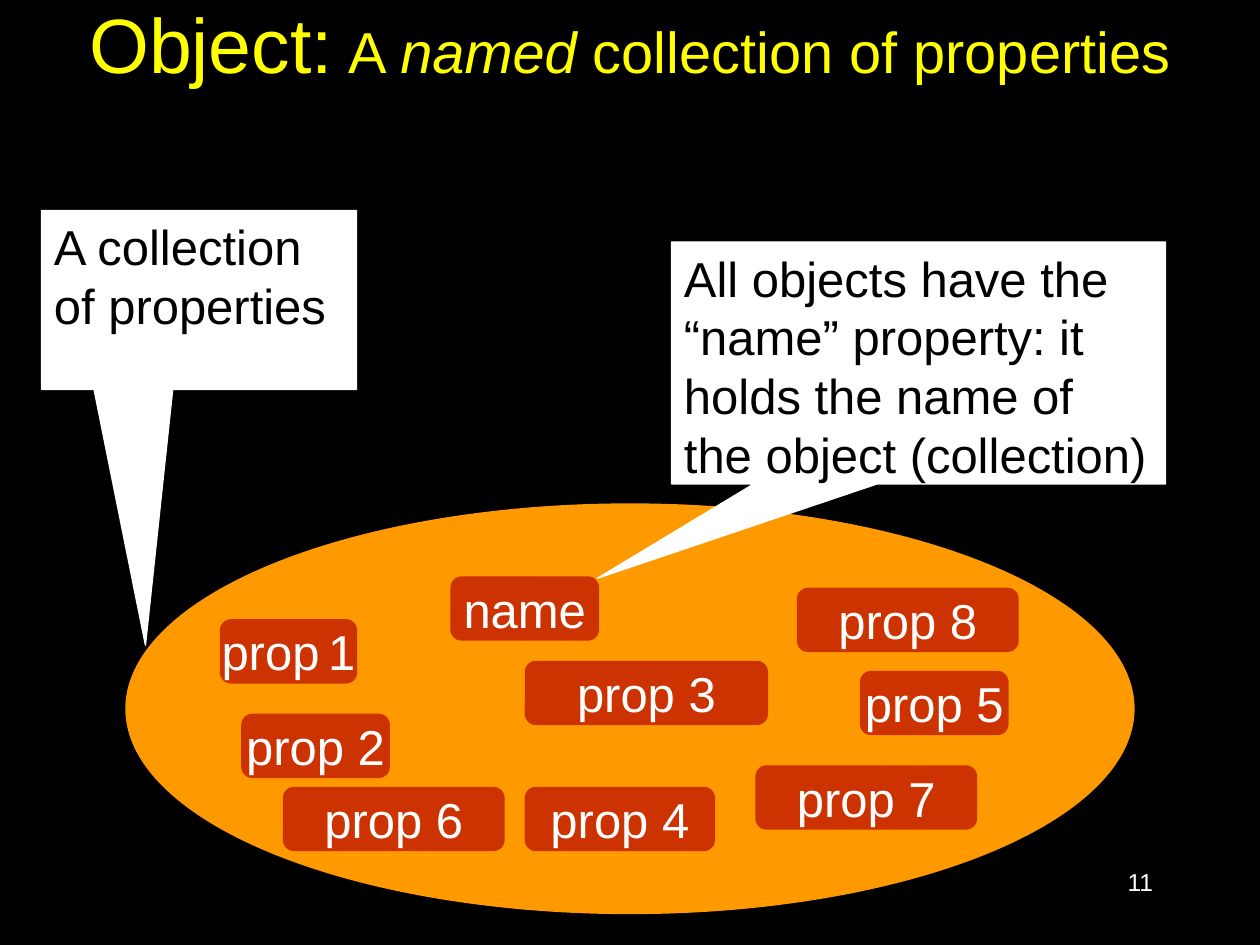
"""Build a slide showing an object as a named collection of properties."""
import dataclasses
import typing

import pptx
import pptx.dml.color
import pptx.enum.shapes
import pptx.enum.text
import pptx.util

Inches = pptx.util.Inches
SHAPE = pptx.enum.shapes.MSO_SHAPE
ALIGN = pptx.enum.text.PP_ALIGN
ANCHOR = pptx.enum.text.MSO_ANCHOR


@dataclasses.dataclass(frozen=True)
class Theme:
    font: str = "Arial"
    background: str = "000000"
    title: str = "FFFF00"
    ellipse: str = "FF9900"
    prop: str = "CC3300"
    light: str = "FFFFFF"
    dark: str = "000000"
    title_size: int = 44
    gap_size: int = 32
    subtitle_size: int = 33
    body_size: int = 28
    small_gap_size: int = 18
    number_size: int = 14
    line_width: float = 0.75


THEME = Theme()


class Run(typing.NamedTuple):
    text: str
    size: int = THEME.body_size
    italic: bool = False


class Box(typing.NamedTuple):
    left: float
    top: float
    width: float
    height: float


class Prop(typing.NamedTuple):
    box: Box
    runs: list[Run]


class Callout(typing.NamedTuple):
    box: Box
    tail: tuple[float, float]
    text: str


TITLE = [
    Run("Object:", THEME.title_size),
    Run(" ", THEME.gap_size),
    Run("A ", THEME.subtitle_size),
    Run("named", THEME.subtitle_size, True),
    Run(" collection of properties", THEME.subtitle_size),
]
TITLE_FRAME = {
    "vertical_anchor": ANCHOR.MIDDLE,
    "margin_top": Inches(0),
    "margin_bottom": Inches(0.57),
}

PROP_HEIGHT = 0.5
PROPS = [
    Prop(Box(1.75, 4.92, 1.08, PROP_HEIGHT), [Run("prop"), Run(" ", THEME.small_gap_size), Run("1")]),
    Prop(Box(1.92, 5.67, 1.17, PROP_HEIGHT), [Run("prop 2")]),
    Prop(Box(6.83, 5.33, 1.17, PROP_HEIGHT), [Run("prop 5")]),
    Prop(Box(3.58, 4.58, 1.17, PROP_HEIGHT), [Run("name")]),
    Prop(Box(4.17, 5.25, 1.92, PROP_HEIGHT), [Run("prop 3")]),
    Prop(Box(4.17, 6.25, 1.5, PROP_HEIGHT), [Run("prop 4")]),
    Prop(Box(6, 6.08, 1.75, PROP_HEIGHT), [Run("prop 7")]),
    Prop(Box(2.25, 6.25, 1.75, PROP_HEIGHT), [Run("prop 6")]),
    Prop(Box(6.33, 4.67, 1.75, PROP_HEIGHT), [Run("prop 8")]),
]

CALLOUTS = [
    Callout(Box(0.33, 1.67, 2.5, 1.42), (-0.17, 1.93), "A collection of properties"),
    Callout(
        Box(5.33, 1.92, 3.92, 1.92),
        (-0.65, 0.89),
        "All objects have the “name” property: it holds the name of the object (collection)",
    ),
]


def rgb(color: str) -> pptx.dml.color.RGBColor:
    return pptx.dml.color.RGBColor.from_string(color)


def write(sp, runs: list[Run], color: str, align=ALIGN.LEFT, **frame) -> None:
    tf = sp.text_frame
    settings = {"word_wrap": True, "vertical_anchor": ANCHOR.TOP} | frame
    for name, value in settings.items():
        setattr(tf, name, value)
    p = tf.paragraphs[0]
    p.alignment = align
    for run in runs:
        r = p.add_run()
        r.text = run.text
        r.font.color.rgb = rgb(color)
        formats = {"name": THEME.font, "size": pptx.util.Pt(run.size), "italic": run.italic}
        for name, value in formats.items():
            setattr(r.font, name, value)


def add_text(s, box: Box, runs: list[Run], color: str, align, **frame) -> None:
    sp = s.shapes.add_textbox(*map(Inches, box))
    write(sp, runs, color, align, **frame)


def add_shape(s, kind, box: Box, color: str):
    sp = s.shapes.add_shape(kind, *map(Inches, box))
    sp.shadow.inherit = False
    sp.fill.solid()
    sp.fill.fore_color.rgb = rgb(color)
    sp.line.color.rgb = rgb(color)
    sp.line.width = pptx.util.Pt(THEME.line_width)
    return sp


def add_prop(s, prop: Prop) -> None:
    sp = add_shape(s, SHAPE.ROUNDED_RECTANGLE, prop.box, THEME.prop)
    write(sp, prop.runs, THEME.light, ALIGN.CENTER, word_wrap=False, vertical_anchor=ANCHOR.MIDDLE)


def add_callout(s, callout: Callout) -> None:
    sp = add_shape(s, SHAPE.RECTANGULAR_CALLOUT, callout.box, THEME.light)
    for i, value in enumerate(callout.tail):
        sp.adjustments[i] = value
    write(sp, [Run(callout.text)], THEME.dark)


def main() -> None:
    prs = pptx.Presentation()
    prs.slide_width, prs.slide_height = Inches(10), Inches(7.5)
    s = prs.slides.add_slide(prs.slide_layouts[6])
    s.background.fill.solid()
    s.background.fill.fore_color.rgb = rgb(THEME.background)

    add_text(s, Box(7.17, 6.83, 2.08, 0.5), [Run("11", THEME.number_size)], THEME.light, ALIGN.RIGHT)
    add_text(s, Box(0, 0, 10, 1.25), TITLE, THEME.title, ALIGN.CENTER, **TITLE_FRAME)
    add_shape(s, SHAPE.OVAL, Box(1, 4, 8, 3.25), THEME.ellipse)
    for prop in PROPS:
        add_prop(s, prop)
    for callout in CALLOUTS:
        add_callout(s, callout)
    prs.save("out.pptx")


if __name__ == "__main__":
    main()
